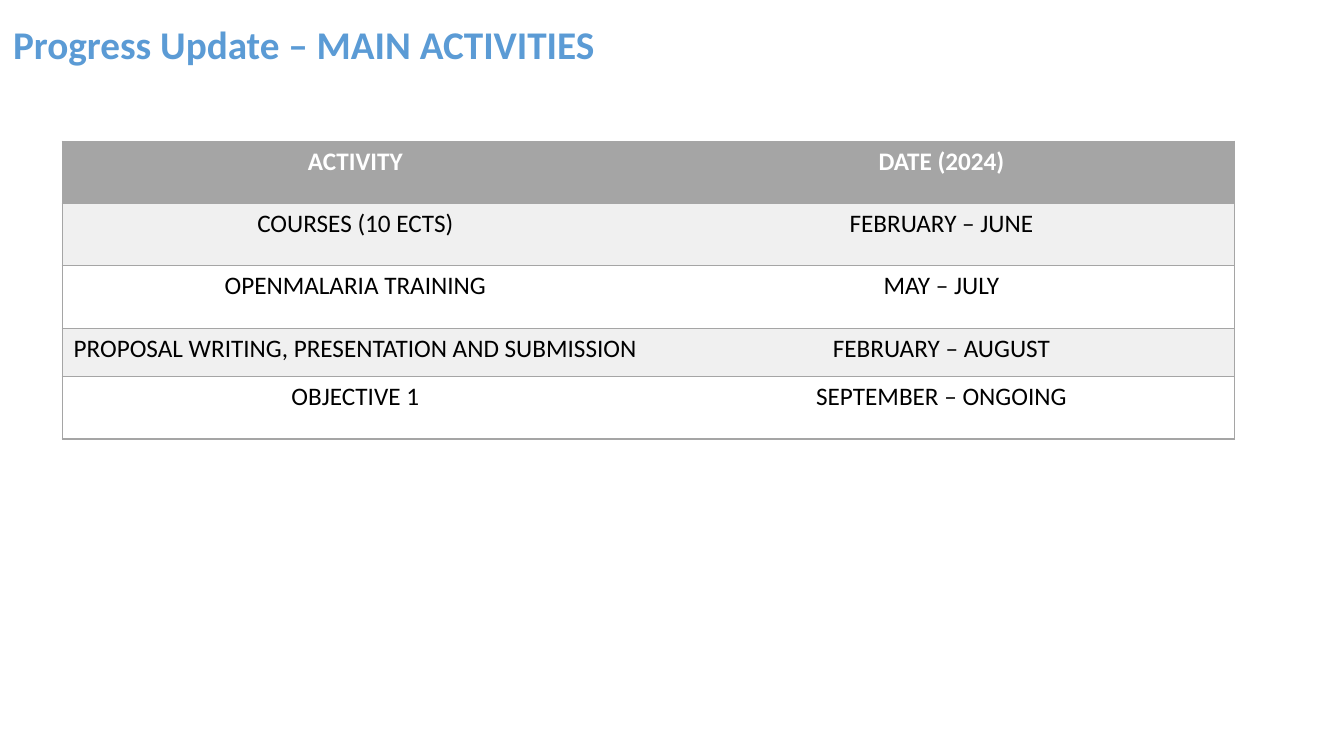
import pptx
import pptx.util
import pptx.dml.color
import pptx.enum.text
import pptx.oxml
import pptx.oxml.ns

Cm, Pt = pptx.util.Cm, pptx.util.Pt
RGBColor = pptx.dml.color.RGBColor
PP_ALIGN = pptx.enum.text.PP_ALIGN
MSO_ANCHOR = pptx.enum.text.MSO_ANCHOR

TITLE = "Progress Update – MAIN ACTIVITIES"
ROWS = [
    ("ACTIVITY", "DATE (2024)"),
    ("COURSES (10 ECTS)", "FEBRUARY – JUNE"),
    ("OPENMALARIA TRAINING", "MAY – JULY"),
    ("PROPOSAL WRITING, PRESENTATION AND SUBMISSION", "FEBRUARY – AUGUST"),
    ("OBJECTIVE 1", "SEPTEMBER – ONGOING"),
]
ROW_HEIGHTS = [Cm(h) for h in (1.57, 1.57, 1.57, 1.22, 1.57)]
COL_WIDTH = Cm(14.77)

BLUE = RGBColor(0x5B, 0x9B, 0xD5)
GREY = RGBColor(0xA5, 0xA5, 0xA5)
PALE = RGBColor(0xF0, 0xF0, 0xF0)
WHITE = RGBColor(0xFF, 0xFF, 0xFF)
BLACK = RGBColor(0x00, 0x00, 0x00)


def set_attrs(target, values):
    for name, value in values.items():
        setattr(target, name, value)


def format_font(font, size, color, bold):
    set_attrs(font, {"name": "Calibri", "size": Pt(size), "bold": bold})
    font.color.rgb = color


def set_borders(cell, drawn):
    """Draw the named sides (L, R, T, B) in grey and clear the others."""
    tcPr = cell._tc.get_or_add_tcPr()
    for i, side in enumerate("LRTB"):
        paint = (f'<a:solidFill><a:srgbClr val="{GREY}"/></a:solidFill>'
                 if side in drawn else "<a:noFill/>")
        tcPr.insert(i, pptx.oxml.parse_xml(
            f'<a:ln{side} {pptx.oxml.ns.nsdecls("a")} w="{Pt(1)}">{paint}</a:ln{side}>'))


def add_title(s):
    sp = s.shapes.title
    set_attrs(sp, {"left": Cm(0.33), "top": Cm(0.15),
                   "width": Cm(33.53), "height": Cm(2.06)})
    tf = sp.text_frame
    tf.text = TITLE
    set_attrs(tf, {"margin_left": 0, "vertical_anchor": MSO_ANCHOR.MIDDLE,
                   "auto_size": pptx.enum.text.MSO_AUTO_SIZE.NONE})
    p = tf.paragraphs[0]
    set_attrs(p, {"alignment": PP_ALIGN.JUSTIFY, "line_spacing": 0.9})
    format_font(p.runs[0].font, 28, BLUE, True)


def add_activities(s):
    n_cols = len(ROWS[0])
    table = s.shapes.add_table(len(ROWS), n_cols, Cm(1.57), Cm(3.56),
                               COL_WIDTH * n_cols, sum(ROW_HEIGHTS)).table
    for col in table.columns:
        col.width = COL_WIDTH
    for i, (texts, height) in enumerate(zip(ROWS, ROW_HEIGHTS)):
        table.rows[i].height = height
        header = i == 0
        fill = GREY if header else PALE if i % 2 else WHITE
        for j, text in enumerate(texts):
            cell = table.cell(i, j)
            cell.fill.solid()
            cell.fill.fore_color.rgb = fill
            set_borders(cell, "TBL" if j == 0 else "TBR")
            cell.text = text
            p = cell.text_frame.paragraphs[0]
            p.alignment = PP_ALIGN.CENTER
            format_font(p.runs[0].font, 18, WHITE if header else BLACK, header)


def main():
    prs = pptx.Presentation()
    set_attrs(prs, {"slide_width": Cm(33.87), "slide_height": Cm(19.05)})
    s = prs.slides.add_slide(prs.slide_layouts[5])
    add_title(s)
    add_activities(s)
    prs.save("out.pptx")


if __name__ == "__main__":
    main()
